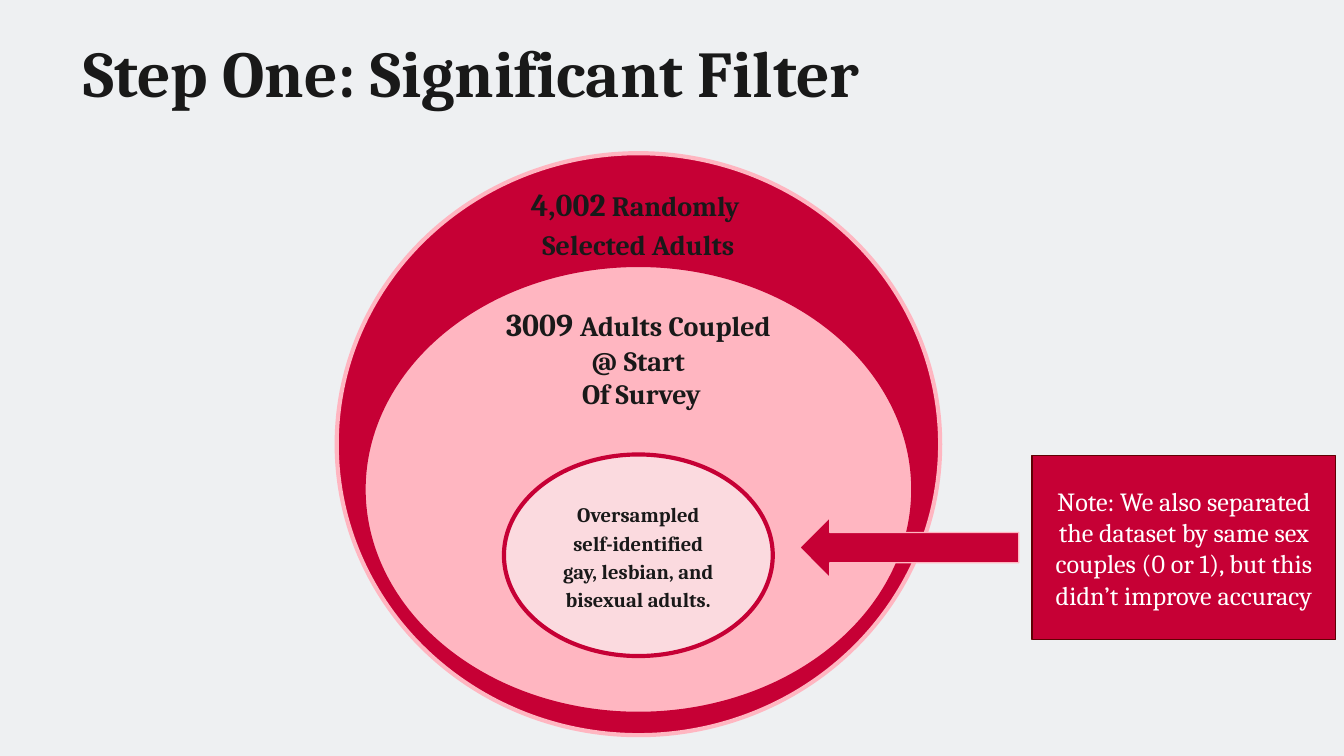
from dataclasses import dataclass
from typing import Optional

from pptx import Presentation
from pptx.dml.color import RGBColor
from pptx.enum.shapes import MSO_SHAPE
from pptx.enum.text import MSO_ANCHOR, PP_ALIGN
from pptx.util import Inches, Pt


@dataclass(frozen=True)
class Theme:
    font: str = "Cambria"
    page: str = "EEF0F2"
    ink: str = "191919"
    white: str = "FFFFFF"
    crimson: str = "C60035"
    pink: str = "FFB6C1"
    blush: str = "FBDADF"
    maroon: str = "5F0103"
    title: int = 35
    number: int = 17
    label: int = 15
    note: int = 14
    small: int = 11
    thick: float = 2.25
    thin: float = 0.75


@dataclass(frozen=True)
class Box:
    """Position in percent of the slide's width and height."""
    left: float
    top: float
    width: float
    height: float


@dataclass(frozen=True)
class Run:
    text: str
    size: int
    color: str
    bold: bool = True


@dataclass(frozen=True)
class Text:
    paragraphs: list[list[Run]]
    anchor: MSO_ANCHOR = MSO_ANCHOR.MIDDLE
    spacing: float = 1.0


@dataclass(frozen=True)
class Figure:
    box: Box
    kind: Optional[MSO_SHAPE] = None  # None makes a plain text box
    fill: str = ""
    line: str = ""
    weight: float = 0
    text: Optional[Text] = None


T = Theme()
AXIS = 47.5  # shared centre of the nested ellipses

# 16:9 slide
prs = Presentation()
prs.slide_width = Inches(10)
prs.slide_height = prs.slide_width * 9 // 16


def centred(top: float, width: float, height: float) -> Box:
    return Box(AXIS - width / 2, top, width, height)


def write(sp, text: Text) -> None:
    tf = sp.text_frame
    frame = {"word_wrap": True, "vertical_anchor": text.anchor}
    frame.update({f"margin_{side}": Inches(0.1) for side in ("left", "top", "right", "bottom")})
    for name, value in frame.items():
        setattr(tf, name, value)
    for i, runs in enumerate(text.paragraphs):
        p = tf.add_paragraph() if i else tf.paragraphs[0]
        p.alignment, p.line_spacing = PP_ALIGN.CENTER, text.spacing
        for run in runs:
            r = p.add_run()
            r.text = run.text
            for name, value in {"name": T.font, "size": Pt(run.size), "bold": run.bold}.items():
                setattr(r.font, name, value)
            r.font.color.rgb = RGBColor.from_string(run.color)


def draw(s, fig: Figure) -> None:
    b = fig.box
    place = [int(prs.slide_width * b.left / 100), int(prs.slide_height * b.top / 100),
             int(prs.slide_width * b.width / 100), int(prs.slide_height * b.height / 100)]
    if fig.kind is None:
        sp = s.shapes.add_textbox(*place)
    else:
        sp = s.shapes.add_shape(fig.kind, *place)
        sp.shadow.inherit = False
        sp.fill.solid()
        sp.fill.fore_color.rgb = RGBColor.from_string(fig.fill)
        sp.line.color.rgb = RGBColor.from_string(fig.line)
        sp.line.width = Pt(fig.weight)
    if fig.text:
        write(sp, fig.text)


FIGURES = [
    # Outer ellipse: all adults
    Figure(centred(20.27, 44.9, 76.98), MSO_SHAPE.OVAL, T.crimson, T.pink, T.thick),
    Figure(centred(21.87, 33, 13.87), text=Text(
        [[Run("4,002", T.number, T.ink), Run(" Randomly ", T.label, T.ink)],
         [Run("Selected Adults", T.label, T.ink)]], MSO_ANCHOR.TOP, 1.15)),
    # Middle ellipse: coupled adults
    Figure(centred(35.05, 40.9, 59.38), MSO_SHAPE.OVAL, T.pink, T.crimson, T.thick),
    Figure(centred(38.58, 22.2, 17.6), text=Text(
        [[Run("3009 ", T.number, T.ink), Run("Adults Coupled @ Start", T.label, T.ink)],
         [Run(" Of Survey", T.label, T.ink)]], MSO_ANCHOR.TOP)),
    # Inner ellipse: oversampled group
    Figure(centred(60.12, 20, 26.67), MSO_SHAPE.OVAL, T.blush, T.crimson, T.thick, Text(
        [[Run("Oversampled self-identified gay, lesbian, and bisexual adults.",
              T.small, T.ink)]], spacing=1.15)),
    # Title
    Figure(Box(1, 3.2, 68.2, 12.44), text=Text(
        [[Run("Step One: Significant Filter", T.title, T.ink)]])),
    # Note and its arrow
    Figure(Box(59.5, 68.44, 16.3, 8), MSO_SHAPE.LEFT_ARROW, T.crimson, T.pink, T.thin),
    Figure(Box(76.8, 60.27, 22.6, 24.36), MSO_SHAPE.RECTANGLE, T.crimson, T.maroon, T.thin, Text(
        [[Run("Note: We also separated the dataset by same sex couples (0 or 1), "
              "but this didn’t improve accuracy", T.note, T.white, False)]])),
]


def main() -> None:
    s = prs.slides.add_slide(prs.slide_layouts[6])
    s.background.fill.solid()
    s.background.fill.fore_color.rgb = RGBColor.from_string(T.page)
    for fig in FIGURES:
        draw(s, fig)
    prs.save("out.pptx")


if __name__ == "__main__":
    main()
